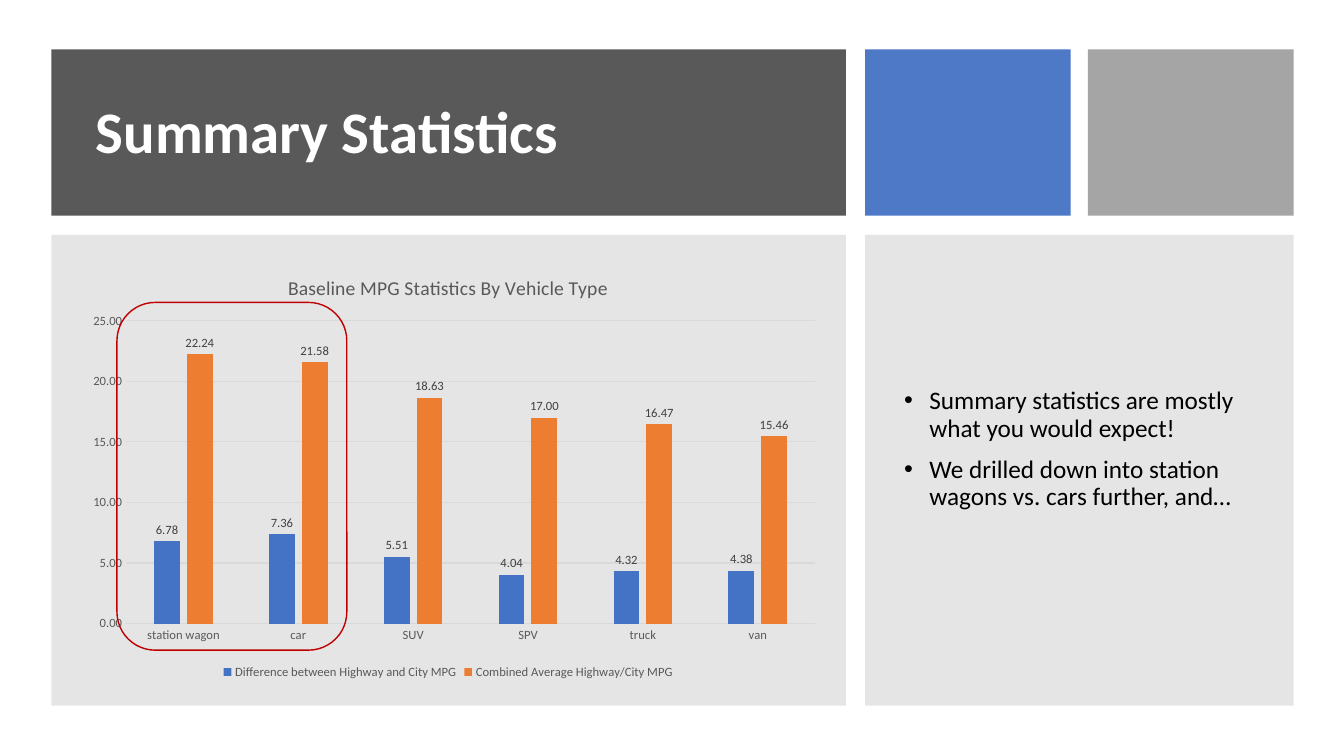
from lxml.etree import SubElement
from pptx import Presentation
from pptx.chart.data import CategoryChartData
from pptx.dml.color import RGBColor
from pptx.enum.chart import XL_CHART_TYPE, XL_LABEL_POSITION, XL_LEGEND_POSITION, XL_TICK_MARK
from pptx.enum.shapes import MSO_SHAPE
from pptx.enum.text import MSO_ANCHOR, PP_ALIGN
from pptx.oxml.ns import qn
from pptx.util import Inches, Pt

COLORS = {
    "white": "FFFFFF", "black": "000000", "banner": "595959", "blue": "4472C4",
    "gray": "A5A5A5", "panel": "7F7F7F", "orange": "ED7D31", "red": "C00000",
    "muted": "595959", "label": "404040", "grid": "D9D9D9",
}
FONT = "Calibri"


def color(name):
    return RGBColor.from_string(COLORS[name])


def lengths(*values):
    return [Inches(value) for value in values]


class SlideBuilder:
    """Holds the style and the current slide."""

    def __init__(self, deck):
        self.slide = deck.slides.add_slide(deck.slide_layouts[5])

    def style_font(self, font, size, color_name, bold=False):
        for name, value in {"name": FONT, "size": Pt(size), "bold": bold}.items():
            setattr(font, name, value)
        font.color.rgb = color(color_name)

    def style_frame(self, frame):
        values = {"word_wrap": True, "vertical_anchor": MSO_ANCHOR.MIDDLE}
        for name, value in values.items():
            setattr(frame, name, value)

    def shape(self, kind, place, fill=None, opacity=100, line=None):
        shape = self.slide.shapes.add_shape(kind, *lengths(*place))
        shape.shadow.inherit = False
        if fill:
            shape.fill.solid()
            shape.fill.fore_color.rgb = color(fill)
            if opacity < 100:
                tone = shape.element.spPr.find(".//" + qn("a:srgbClr"))
                SubElement(tone, qn("a:alpha"), val=str(opacity * 1000))
        else:
            shape.fill.background()
        if line:
            shape.line.color.rgb = color(line)
            shape.line.width = Pt(1)
        else:
            shape.line.fill.background()
        return shape

    def title(self, text, place, banner):
        title = self.slide.shapes.title
        for name, value in zip(("left", "top", "width", "height"), lengths(*place)):
            setattr(title, name, value)
        banner.element.addnext(title.element)  # keep the title in front
        self.style_frame(title.text_frame)
        title.text_frame.text = text
        para = title.text_frame.paragraphs[0]
        para.alignment, para.line_spacing = PP_ALIGN.LEFT, 0.9
        self.style_font(para.runs[0].font, 42, "white", bold=True)

    def bullets(self, texts, place):
        frame = self.slide.shapes.add_textbox(*lengths(*place)).text_frame
        self.style_frame(frame)
        for index, text in enumerate(texts):
            para = frame.add_paragraph() if index else frame.paragraphs[0]
            para.line_spacing, para.space_before = 0.9, Pt(10)
            span = para.add_run()
            span.text = text
            self.style_font(span.font, 18, "black")
            properties = para._p.get_or_add_pPr()
            properties.set("marL", str(Inches(0.25)))
            properties.set("indent", str(-Inches(0.25)))
            SubElement(properties, qn("a:buFont"), typeface="Arial")
            SubElement(properties, qn("a:buChar"), char="•")

    def column_chart(self, heading, categories, series, place, plot_place):
        data = CategoryChartData(number_format="0.00")
        data.categories = categories
        for name, values, _ in series:
            data.add_series(name, values)
        chart = self.slide.shapes.add_chart(
            XL_CHART_TYPE.COLUMN_CLUSTERED, *lengths(*place), data).chart
        self.style_font(chart.font, 10, "black")

        # Heading and legend
        chart.has_title = True
        chart.chart_title.text_frame.text = heading
        span = chart.chart_title.text_frame.paragraphs[0].runs[0]
        self.style_font(span.font, 14, "muted")
        chart.has_legend = True
        chart.legend.position = XL_LEGEND_POSITION.BOTTOM
        chart.legend.include_in_layout = False
        self.style_font(chart.legend.font, 9, "muted")

        # Axes
        for axis in (chart.category_axis, chart.value_axis):
            axis.major_tick_mark = axis.minor_tick_mark = XL_TICK_MARK.NONE
            self.style_font(axis.tick_labels.font, 9, "muted")
        values_axis = chart.value_axis
        limits = {"minimum_scale": 0, "maximum_scale": 25, "major_unit": 5}
        for name, value in limits.items():
            setattr(values_axis, name, value)
        values_axis.tick_labels.number_format = "0.00"
        values_axis.tick_labels.number_format_is_linked = False
        values_axis.format.line.fill.background()
        for line in (chart.category_axis.format.line, values_axis.major_gridlines.format.line):
            line.color.rgb, line.width = color("grid"), Pt(0.75)

        # Columns and their labels
        plot = chart.plots[0]
        options = {"gap_width": 219, "overlap": -27, "vary_by_categories": False}
        for name, value in options.items():
            setattr(plot, name, value)
        for columns, (_, _, fill) in zip(plot.series, series):
            columns.format.fill.solid()
            columns.format.fill.fore_color.rgb = color(fill)
            labels = columns.data_labels
            settings = {"show_value": True, "position": XL_LABEL_POSITION.OUTSIDE_END,
                        "number_format": "0.00", "number_format_is_linked": False}
            for name, value in settings.items():
                setattr(labels, name, value)
            self.style_font(labels.font, 9, "label")

        # Fixed inner plot area, as shares of the chart
        area = chart._chartSpace.chart.plotArea
        for old in area.findall(qn("c:layout")):
            area.remove(old)
        layout = SubElement(area, qn("c:layout"))
        area.insert(0, layout)
        manual = SubElement(layout, qn("c:manualLayout"))
        entries = [("layoutTarget", "inner"), ("xMode", "edge"), ("yMode", "edge")]
        for name, value in entries + list(zip("xywh", plot_place)):
            SubElement(manual, qn("c:" + name), val=str(value))


deck = Presentation()
deck.slide_width, deck.slide_height = lengths(13.33, 7.5)
builder = SlideBuilder(deck)

# Top row: banner and two accent tiles
LEFT, TOP, WIDE, TILE, ROW = 0.51, 0.49, 7.88, 2.04, 1.65
SIDE, LOWER, PANEL = 8.58, 2.33, 4.67
banner = builder.shape(MSO_SHAPE.RECTANGLE, (LEFT, TOP, WIDE, ROW), "banner")
builder.title("Summary Statistics", (0.85, 0.76, 7.23, 1.14), banner)
for left, fill, opacity in ((SIDE, "blue", 95), (10.79, "gray", 100)):
    builder.shape(MSO_SHAPE.RECTANGLE, (left, TOP, TILE, ROW), fill, opacity)

# Lower row: chart panel and text panel
for left, width in ((LEFT, WIDE), (SIDE, 4.25)):
    builder.shape(MSO_SHAPE.RECTANGLE, (left, LOWER, width, PANEL), "panel", 20)
builder.bullets(
    ["Summary statistics are mostly what you would expect!",
     "We drilled down into station wagons vs. cars further, and…"],
    (8.87, 2.62, 3.67, 3.68))
builder.column_chart(
    "Baseline MPG Statistics By Vehicle Type",
    ["station wagon", "car", "SUV", "SPV", "truck", "van"],
    [("Difference between Highway and City MPG",
      (6.78, 7.36, 5.51, 4.04, 4.32, 4.38), "blue"),
     ("Combined Average Highway/City MPG",
      (22.24, 21.58, 18.63, 17.00, 16.47, 15.46), "orange")],
    (0.73, 2.55, 7.43, 4.23), (0.07, 0.15, 0.92, 0.71))

# Highlight around station wagons and cars
builder.shape(MSO_SHAPE.ROUNDED_RECTANGLE, (1.16, 3, 2.28, 3.45), line="red")

deck.save("out.pptx")
